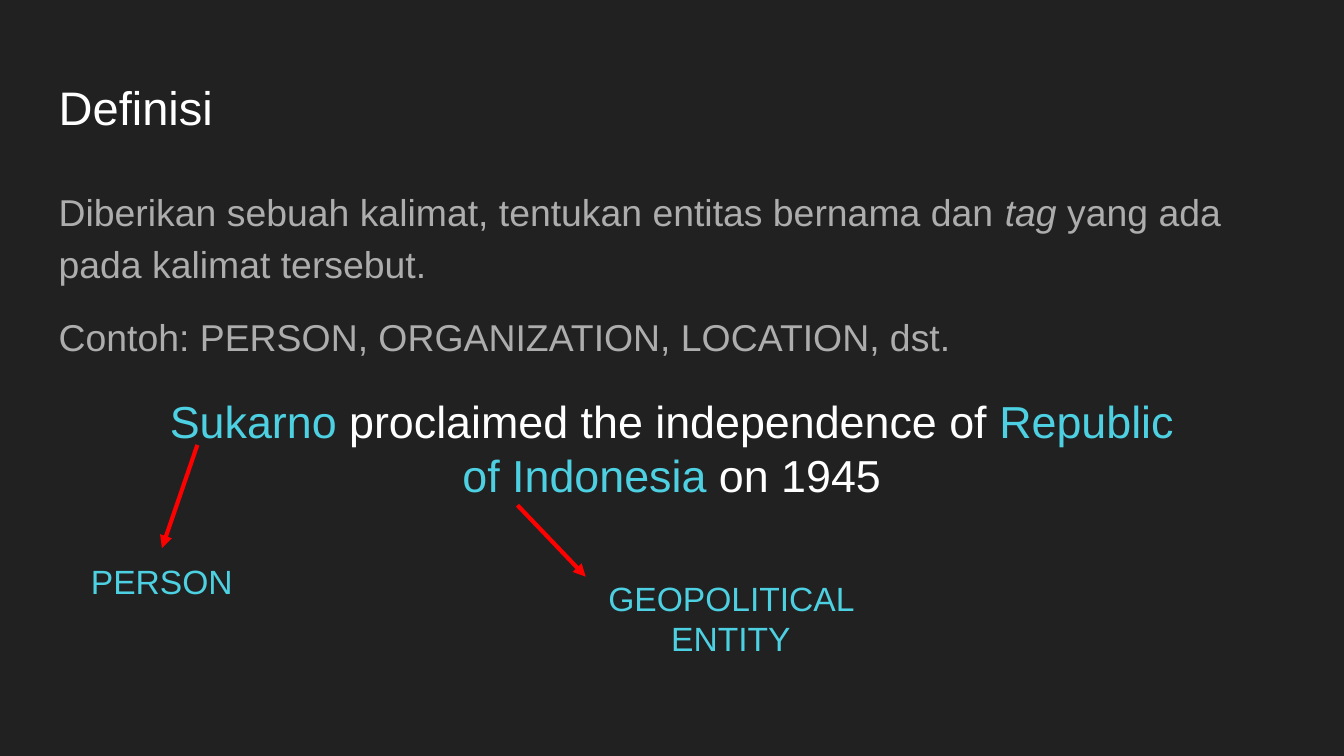
import pptx
import pptx.dml.color
import pptx.enum.shapes
import pptx.enum.text
import pptx.oxml.ns
import pptx.util
from lxml import etree

Cm = pptx.util.Cm
Pt = pptx.util.Pt
qn = pptx.oxml.ns.qn

DARK, WHITE, GREY, CYAN, RED = "212121", "FFFFFF", "ADADAD", "4DD0E1", "FF0000"
LEFT, MID = pptx.enum.text.PP_ALIGN.LEFT, pptx.enum.text.PP_ALIGN.CENTER


def paint(code):
    return pptx.dml.color.RGBColor.from_string(code)


def apply(item, **values):
    for name, value in values.items():
        setattr(item, name, value)


class Deck:
    font = "Arial"
    inset = Cm(0.25)
    weight = Pt(2.25)

    def __init__(self, wide, high):
        self.show = pptx.Presentation()
        apply(self.show, slide_width=Cm(wide), slide_height=Cm(high))
        self.slide = None

    def page(self, color):
        self.slide = self.show.slides.add_slide(self.show.slide_layouts[6])
        fill = self.slide.background.fill
        fill.solid()
        fill.fore_color.rgb = paint(color)

    def text(self, place, lines, size, align=LEFT, space=1.0, gap=0):
        box = self.slide.shapes.add_textbox(*map(Cm, place))
        frame = box.text_frame
        apply(frame, word_wrap=True, margin_left=self.inset, margin_right=self.inset,
              margin_top=self.inset, margin_bottom=self.inset)
        for row, parts in enumerate(lines):
            para = frame.add_paragraph() if row else frame.paragraphs[0]
            apply(para, alignment=align, line_spacing=space, space_before=Pt(gap if row else 0))
            for words, color, slant in parts:
                run = para.add_run()
                run.text = words
                apply(run.font, name=self.font, size=Pt(size), italic=slant)
                run.font.color.rgb = paint(color)
        return box

    def arrow(self, start, end, color, goal=None, side=0):
        kind = pptx.enum.shapes.MSO_CONNECTOR.STRAIGHT
        line = self.slide.shapes.add_connector(kind, *map(Cm, start + end))
        line.line.color.rgb = paint(color)
        line.line.width = self.weight
        if goal is not None:
            line.end_connect(goal, side)
        props = line.element.spPr
        etree.SubElement(props.find(qn("a:ln")), qn("a:tailEnd"), type="triangle")
        etree.SubElement(props, qn("a:effectLst"))

    def save(self):
        self.show.save("out.pptx")


def main():
    deck = Deck(25.4, 14.29)
    deck.page(DARK)
    deck.text((0.86, 1.24, 23.67, 1.6), [[("Definisi", WHITE, False)]], 25.2)
    deck.text((0.86, 3.2, 23.67, 9.5), [
        [("Diberikan sebuah kalimat, tentukan entitas bernama dan ", GREY, False),
         ("tag", GREY, True),
         (" yang ada pada kalimat tersebut.", GREY, False)],
        [("Contoh: PERSON, ORGANIZATION, LOCATION, dst.", GREY, False)],
    ], 20, space=1.15, gap=12)
    deck.text((2.51, 7.19, 20.37, 2.57), [[
        ("Sukarno", CYAN, False),
        (" proclaimed the independence of ", WHITE, False),
        ("Republic of Indonesia", CYAN, False),
        (" on 1945", WHITE, False),
    ]], 24, MID)
    person = deck.text((1.04, 10.36, 4.04, 1.27), [[("PERSON", CYAN, False)]], 18, MID)
    deck.text((10.69, 10.67, 6.25, 2.06), [[("GEOPOLITICAL ENTITY", CYAN, False)]], 18, MID)
    deck.arrow((9.78, 9.55), (11.07, 10.9), RED)
    deck.arrow((3.73, 8.41), (3.06, 10.36), RED, person)
    deck.save()


if __name__ == "__main__":
    main()
